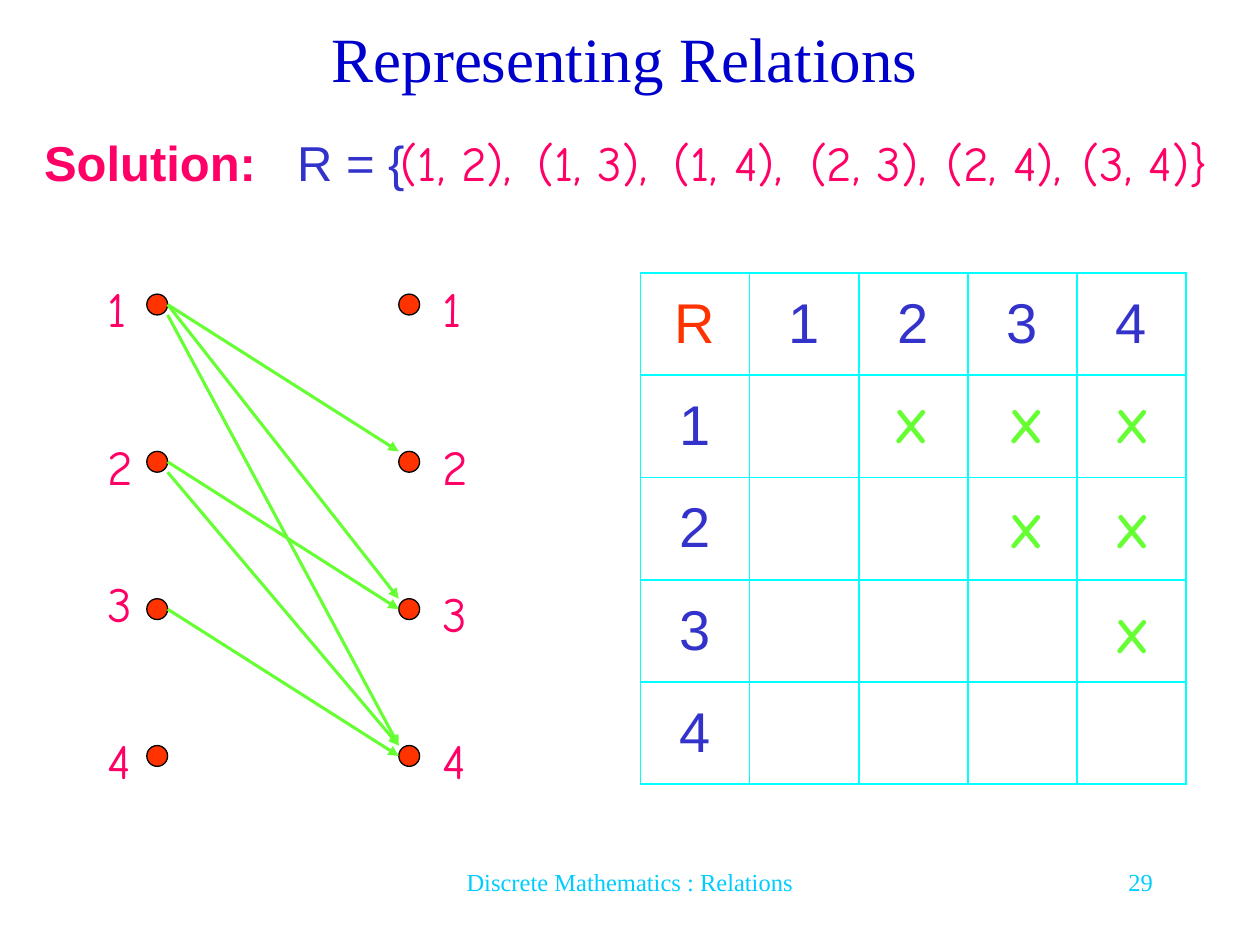
from lxml.etree import SubElement
from pptx import Presentation
from pptx.dml.color import RGBColor
from pptx.enum.shapes import MSO_CONNECTOR, MSO_SHAPE
from pptx.enum.text import MSO_ANCHOR, PP_ALIGN
from pptx.oxml.ns import qn
from pptx.util import Cm, Pt

HAND, SANS, SERIF = "Comic Neue", "Arial", "Times New Roman"
PINK, BLUE, GREEN, RED = "FF0066", "3333CC", "66FF33", "FF3300"
CYAN, SKY, NAVY, BLACK = "00FFFF", "00CCFF", "0000CC", "000000"

# Each pair of the relation, with the arrow's shift from the dot centres
# at its start and end, in dot radii
RELATION = {
    (1, 2): (0, -1), (1, 3): (0, -1), (1, 4): (1, -1),
    (2, 3): (0, 0), (2, 4): (1, -1), (3, 4): (0, 0),
}
DOT_Y = {1: 6.14, 2: 9.31, 3: 12.28, 4: 15.24}
DOT_LEFT, DOT_RIGHT = 2.96, 8.04
RADIUS = 0.21
MARK_X = {2: 17.78, 3: 20.11, 4: 22.23}


def color(value):
    return RGBColor.from_string(value)


def add_run(p, text, size=28, font=HAND, fill=PINK, bold=False):
    r = p.add_run()
    r.text = text
    r.font.size, r.font.name, r.font.bold = Pt(size), font, bold
    r.font.color.rgb = color(fill)


def add_text(s, text, x, y, w, h=1.45, align=PP_ALIGN.LEFT, **fmt):
    tf = s.shapes.add_textbox(Cm(x), Cm(y), Cm(w), Cm(h)).text_frame
    tf.word_wrap = True
    p = tf.paragraphs[0]
    p.alignment = align
    add_run(p, text, **fmt)
    return p


def add_tab_stop(p, pos):
    tabs = SubElement(p._p.get_or_add_pPr(), qn("a:tabLst"))
    SubElement(tabs, qn("a:tab"), pos=str(Cm(pos)), algn="l")


def set_title(s, text):
    sp = s.shapes.title
    sp.left, sp.top, sp.width, sp.height = Cm(1.27), Cm(0), Cm(22.65), Cm(2.33)
    tf = sp.text_frame
    tf.vertical_anchor = MSO_ANCHOR.MIDDLE
    p = tf.paragraphs[0]
    p.alignment = PP_ALIGN.CENTER
    add_run(p, text, size=36, font=SERIF, fill=NAVY)


def add_dot(s, x, center_y):
    sp = s.shapes.add_shape(MSO_SHAPE.OVAL, Cm(x), Cm(center_y - RADIUS),
                            Cm(2 * RADIUS), Cm(2 * RADIUS))
    sp.shadow.inherit = False
    sp.fill.solid()
    sp.fill.fore_color.rgb = color(RED)
    sp.line.color.rgb = color(BLACK)
    sp.line.width = Pt(0.75)


def add_arrow(s, x1, y1, x2, y2):
    line = s.shapes.add_connector(MSO_CONNECTOR.STRAIGHT,
                                  Cm(x1), Cm(y1), Cm(x2), Cm(y2))
    line.line.color.rgb = color(GREEN)
    line.line.width = Pt(1.75)
    SubElement(line.line._get_or_add_ln(), qn("a:tailEnd"), type="triangle")
    SubElement(line._element.spPr, qn("a:effectLst"))


def set_borders(cell):
    tc_pr = cell._tc.get_or_add_tcPr()
    for i, side in enumerate(("lnL", "lnR", "lnT", "lnB")):
        ln = tc_pr.makeelement(qn(f"a:{side}"), {"w": str(Pt(1.08))})
        fill = SubElement(ln, qn("a:solidFill"))
        SubElement(fill, qn("a:srgbClr"), val=CYAN)
        tc_pr.insert(i, ln)


def add_relation_table(s, x, y, w, h):
    n = len(DOT_Y) + 1
    frame = s.shapes.add_table(n, n, Cm(x), Cm(y), Cm(w), Cm(h))
    table = frame.table
    table.first_row = table.horz_banding = False
    for i in range(n):
        table.columns[i].width = Cm(w / n)
        table.rows[i].height = Cm(h / n)
        for j in range(n):
            cell = table.cell(i, j)
            cell.fill.background()
            cell.vertical_anchor = MSO_ANCHOR.MIDDLE
            set_borders(cell)
            if i and j:
                continue
            p = cell.text_frame.paragraphs[0]
            p.alignment = PP_ALIGN.CENTER
            add_run(p, str(i + j) if i + j else "R", size=32, font=SANS,
                    fill=BLUE if i + j else RED)


def add_pairs(s):
    p = add_text(s, "Solution:", 0.64, 2.54, 24.34, 2.54, font=SANS, bold=True)
    add_tab_stop(p, 5.1)
    add_run(p, "\tR = {", font=SANS, fill=BLUE)
    for i, (a, b) in enumerate(RELATION):
        end = "}" if i == len(RELATION) - 1 else ","
        add_text(s, f"({a}, {b}){end}", 7.83 + 2.75 * i, 2.54, 3.81)


def add_graph(s):
    for x in (DOT_LEFT, DOT_RIGHT):
        for y in DOT_Y.values():
            add_dot(s, x, y)
    for (a, b), (start, end) in RELATION.items():
        add_arrow(s, DOT_LEFT + 2 * RADIUS, DOT_Y[a] + start * RADIUS,
                  DOT_RIGHT, DOT_Y[b] + end * RADIUS)
    for n, y in DOT_Y.items():
        raised = RADIUS if n == 3 else 0
        add_text(s, str(n), 1.91, y - 0.64 - raised, 1.06)
        add_text(s, str(n), 8.68, y - 0.64, 1.06)


def add_marks(s):
    for a, b in RELATION:
        add_text(s, "X", MARK_X[b], 7.83 + 2.12 * (a - 1), 1.48,
                 fill=GREEN, bold=True)


def main():
    prs = Presentation()
    prs.slide_width, prs.slide_height = Cm(25.4), Cm(19.05)
    s = prs.slides.add_slide(prs.slide_layouts[5])

    # Heading and the set of pairs
    set_title(s, "Representing Relations")
    add_pairs(s)

    # Arrow diagram on the left, table on the right
    add_graph(s)
    add_relation_table(s, 12.91, 5.5, 11, 10.31)
    add_marks(s)

    # Footer and slide number
    footer = {"size": 14, "font": SERIF, "fill": SKY}
    add_text(s, "Discrete Mathematics : Relations", 7.2, 17.36, 11, 1.27,
             align=PP_ALIGN.CENTER, **footer)
    add_text(s, "29", 18.2, 17.36, 5.29, 1.27, align=PP_ALIGN.RIGHT, **footer)

    prs.save("out.pptx")


if __name__ == "__main__":
    main()
